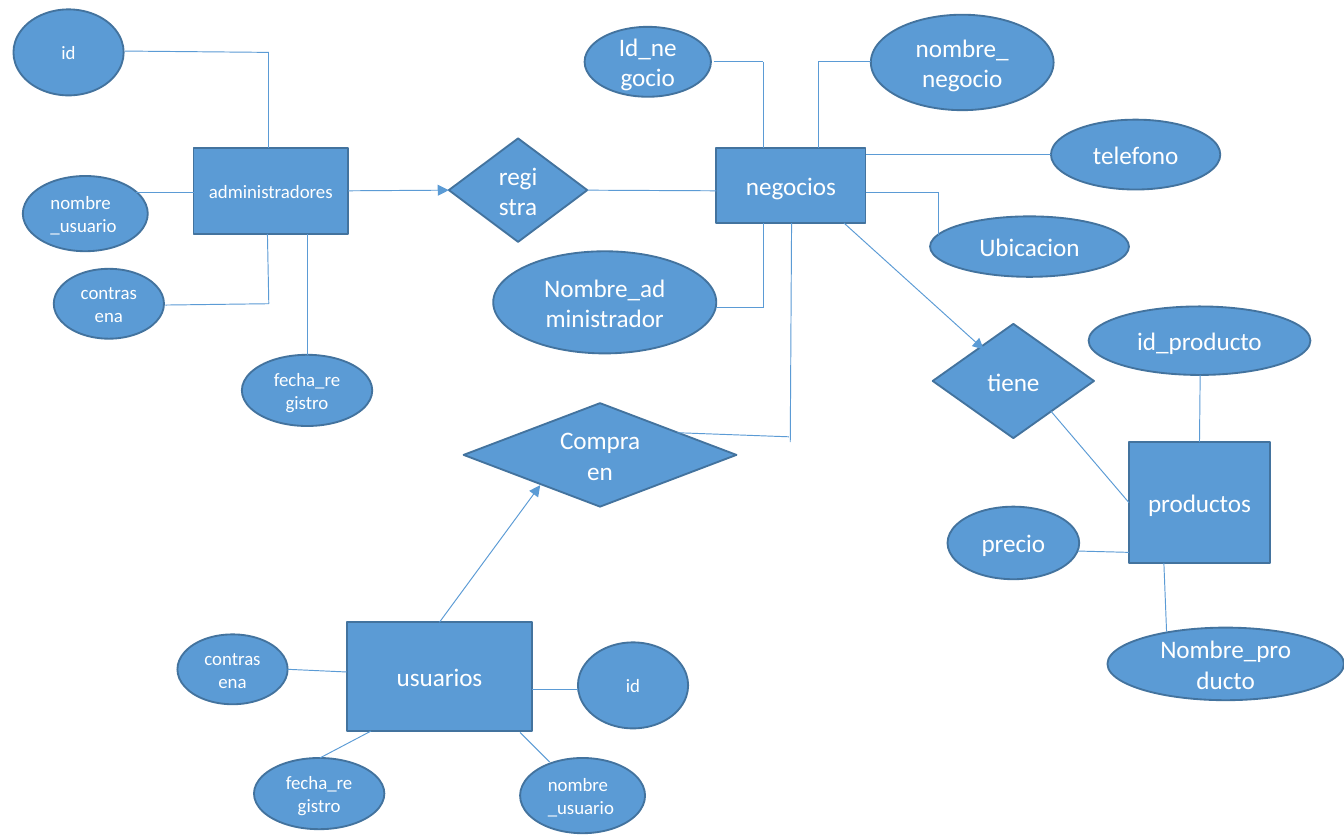
from dataclasses import dataclass
from itertools import pairwise
from typing import Optional

from pptx import Presentation
from pptx.dml.color import RGBColor
from pptx.enum.shapes import MSO_CONNECTOR as Connector, MSO_SHAPE as Preset
from pptx.enum.text import MSO_ANCHOR as Anchor, PP_ALIGN as Align
from pptx.oxml.ns import qn
from pptx.util import Emu, Pt
from lxml.etree import SubElement

EMU_PER_PX = 9144  # 100 px to the inch
FILL, OUTLINE, WHITE = "5B9BD5", "43739E", "FFFFFF"
FONT = "Calibri"
TOP, LEFT, BOTTOM, RIGHT = range(4)


@dataclass(frozen=True)
class TextStyle:
    size: float
    inset_x: int
    inset_y: int
    align: Align = Align.CENTER


LARGE = TextStyle(13.5, 10, 5)
SMALL = TextStyle(10.1, 7, 4)
SMALL_LEFT = TextStyle(10.1, 7, 4, Align.LEFT)


@dataclass(frozen=True)
class Node:
    label: str
    left: int
    top: int
    width: int
    height: int
    preset: Preset = Preset.OVAL
    style: TextStyle = LARGE


@dataclass(frozen=True)
class Join:
    node: str
    side: int


@dataclass(frozen=True)
class Link:
    points: tuple[tuple[int, int], ...]
    begin: Optional[Join] = None
    end: Optional[Join] = None
    arrow: bool = False


ENTITIES_AND_RELATIONS = [
    Node("administradores", 144, 110, 115, 64, Preset.RECTANGLE, SMALL),
    Node("negocios", 533, 110, 111, 56, Preset.RECTANGLE),
    Node("usuarios", 258, 463, 138, 81, Preset.RECTANGLE),
    Node("productos", 840, 329, 105, 90, Preset.RECTANGLE),
    Node("registra", 334, 103, 103, 77, Preset.DIAMOND),
    Node("Compra en", 345, 300, 203, 77, Preset.DIAMOND),
    Node("tiene", 694, 241, 120, 85, Preset.DIAMOND),
]

ATTRIBUTES = [
    # administradores
    Node("id", 10, 7, 82, 64, style=SMALL),
    Node("nombre_usuario", 17, 131, 93, 56, style=SMALL_LEFT),
    Node("contrasena", 40, 200, 82, 52, style=SMALL),
    Node("fecha_registro", 180, 264, 97, 53, style=SMALL),
    # negocios
    Node("Id_negocio", 435, 20, 94, 52),
    Node("nombre_negocio", 648, 11, 136, 71),
    Node("telefono", 782, 89, 126, 52),
    Node("Ubicacion", 692, 161, 148, 45),
    Node("Nombre_administrador", 367, 187, 166, 76),
    # usuarios
    Node("contrasena", 132, 472, 82, 52, style=SMALL),
    Node("fecha_registro", 189, 564, 97, 53, style=SMALL),
    Node("nombre_usuario", 387, 564, 93, 56, style=SMALL_LEFT),
    Node("id", 430, 478, 82, 64, style=SMALL),
    # productos
    Node("id_producto", 810, 228, 165, 51),
    Node("precio", 705, 377, 98, 54),
    Node("Nombre_producto", 824, 467, 176, 54),
]

LINKS = [
    # administradores
    Link(((93, 38), (200, 39), (200, 110))),
    Link(((144, 143), (101, 143))),
    Link(((199, 174), (200, 226), (123, 227))),
    Link(((229, 174), (229, 264))),
    # negocios
    Link(((531, 46), (568, 46), (568, 110))),
    Link(((609, 110), (609, 46), (648, 46))),
    Link(((644, 115), (782, 115))),
    Link(((644, 143), (698, 143), (698, 175))),
    Link(((568, 166), (568, 229), (533, 229))),
    # usuarios
    Link(((258, 500), (214, 498))),
    Link(((276, 544), (238, 564))),
    Link(((387, 545), (409, 567))),
    Link(((396, 513), (430, 513))),
    # productos
    Link(((893, 329), (893, 279)), begin=Join("productos", TOP)),
    Link(((840, 411), (802, 410))),
    Link(((866, 419), (868, 470))),
    # relations
    Link(((259, 142), (334, 142)), Join("administradores", RIGHT),
         Join("registra", LEFT), arrow=True),
    Link(((437, 142), (533, 142)), begin=Join("registra", RIGHT)),
    Link(((327, 463), (402, 361)), begin=Join("usuarios", TOP), arrow=True),
    Link(((589, 166), (588, 329))),
    Link(((587, 325), (504, 322))),
    Link(((628, 166), (732, 260)), arrow=True),
    Link(((782, 306), (840, 374)), end=Join("productos", LEFT)),
]


def px(length: int) -> Emu:
    return Emu(length * EMU_PER_PX)


def color(hex_value: str) -> RGBColor:
    return RGBColor.from_string(hex_value)


def add_node(slide, node: Node):
    shape = slide.shapes.add_shape(
        node.preset, px(node.left), px(node.top), px(node.width), px(node.height))
    shape.shadow.inherit = False
    shape.fill.solid()
    shape.fill.fore_color.rgb = color(FILL)
    shape.line.color.rgb = color(OUTLINE)
    shape.line.width = Pt(1)

    frame = shape.text_frame
    frame.word_wrap = True
    frame.vertical_anchor = Anchor.MIDDLE
    frame.margin_left = frame.margin_right = px(node.style.inset_x)
    frame.margin_top = frame.margin_bottom = px(node.style.inset_y)
    paragraph = frame.paragraphs[0]
    paragraph.alignment = node.style.align
    run = paragraph.add_run()
    run.text = node.label
    run.font.name = FONT
    run.font.size = Pt(node.style.size)
    run.font.color.rgb = color(WHITE)
    return shape


def add_link(slide, link: Link, shapes: dict) -> None:
    """Draw each leg of a link, joining its outer ends where they are given."""
    legs = []
    for start, finish in pairwise(link.points):
        leg = slide.shapes.add_connector(
            Connector.STRAIGHT, *map(px, start), *map(px, finish))
        leg.line.color.rgb = color(FILL)
        leg.line.width = Pt(0.5)
        SubElement(leg._element.spPr, qn("a:effectLst"))
        legs.append(leg)
    if link.begin:
        legs[0].begin_connect(shapes[link.begin.node], link.begin.side)
    if link.end:
        legs[-1].end_connect(shapes[link.end.node], link.end.side)
    if link.arrow:
        SubElement(legs[-1].line._get_or_add_ln(), qn("a:tailEnd"), type="triangle")


def main() -> None:
    presentation = Presentation()
    presentation.slide_width, presentation.slide_height = px(1000), px(625)
    slide = presentation.slides.add_slide(presentation.slide_layouts[6])
    shapes = {node.label: add_node(slide, node) for node in ENTITIES_AND_RELATIONS}
    for attribute in ATTRIBUTES:
        add_node(slide, attribute)
    for link in LINKS:
        add_link(slide, link, shapes)
    presentation.save("out.pptx")


if __name__ == "__main__":
    main()
